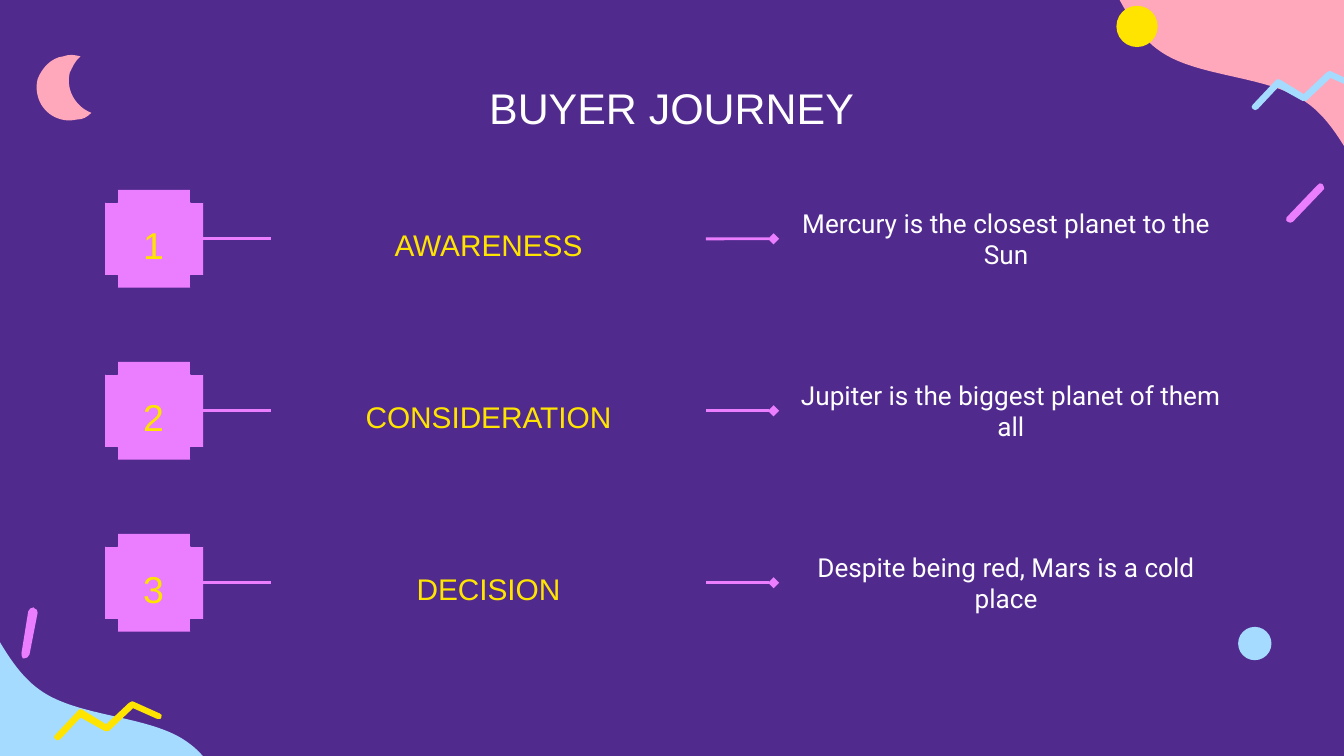
from lxml import etree
from pptx import Presentation
from pptx import util as u
from pptx.dml.color import RGBColor
from pptx.enum import shapes, text
from pptx.oxml.ns import qn

PURPLE, ORCHID, YELLOW = "512A8E", "EB7DFF", "FFE400"
PINK, SKY, WHITE = "FFA7BB", "A5DBFF", "FFFFFF"
rgb = RGBColor.from_string

deck = Presentation()
deck.slide_width, deck.slide_height = u.Cm(25.4), u.Cm(14.29)
slide = deck.slides.add_slide(deck.slide_layouts[6])
slide.background.fill.solid()
slide.background.fill.fore_color.rgb = rgb(PURPLE)


def paint(shape, fill, line=None):
    shape.shadow.inherit = False
    shape.fill.solid()
    shape.fill.fore_color.rgb = rgb(fill)
    if line:
        shape.line.color.rgb = rgb(line)
        shape.line.width = u.Pt(0.75)
    else:
        shape.line.fill.background()


def add_text(words, left, top, width, height, size, color, font="Arial"):
    """Add a centred text box; the box is given in centimetres."""
    box = slide.shapes.add_textbox(u.Cm(left), u.Cm(top), u.Cm(width), u.Cm(height))
    frame = box.text_frame
    frame.word_wrap = True
    frame.vertical_anchor = text.MSO_ANCHOR.MIDDLE
    frame.margin_left = frame.margin_right = u.Cm(0.25)
    frame.margin_top = frame.margin_bottom = u.Cm(0.25)
    frame.text = words
    paragraph = frame.paragraphs[0]
    paragraph.alignment = text.PP_ALIGN.CENTER
    run_font = paragraph.runs[0].font
    run_font.size, run_font.name = u.Pt(size), font
    run_font.color.rgb = rgb(color)
    return box


# Outlines: a start point, then lines (x, y) or cubic curves (six numbers),
# on a grid of 0.0254 cm
GRID = u.Cm(0.0254)
wave = [(1070, 165), (1067, 208, 1047, 174, 1031, 159), (1015, 144, 1001, 97, 973, 77),
        (945, 56, 891, 58, 863, 38), (835, 19, 828, -23, 805, -40),
        (782, -57, 741, -56, 726, -65), (712, -74, 664, -90, 718, -96),
        (773, -102, 995, -143, 1054, -99), (1113, -56, 1074, 122, 1070, 165)]
zigzag = [(989, 53), (988, 53, 988, 53, 987, 54), (970, 70), (952, 59),
          (951, 59, 951, 59, 950, 59), (950, 59, 949, 59, 949, 60), (932, 78),
          (931, 79, 931, 80, 932, 81), (933, 82, 933, 82, 934, 82),
          (935, 82, 935, 82, 936, 81), (951, 65), (969, 75),
          (970, 75, 970, 75, 971, 75), (971, 75, 972, 75, 972, 75), (990, 58),
          (1008, 66), (1009, 66, 1009, 66, 1009, 66), (1010, 66, 1011, 66, 1011, 65),
          (1012, 64, 1011, 62, 1010, 62), (990, 53)]
moon = [(28, 59), (31, 51, 38, 43, 47, 42), (52, 40, 56, 41, 60, 42),
        (56, 45, 54, 50, 52, 54), (51, 58, 51, 62, 52, 66), (54, 74, 60, 81, 68, 84),
        (65, 87, 62, 89, 57, 89), (44, 92, 31, 84, 28, 71), (27, 67, 27, 63, 28, 59)]
left_dash = [(17, 490), (16, 489, 16, 487, 16, 486), (21, 455), (22, 453, 23, 452, 25, 452),
             (25, 452, 26, 453, 26, 453), (27, 453, 28, 454, 28, 456), (22, 487),
             (21, 489, 20, 490, 18, 490)]
right_dash = [(957, 164), (957, 163, 957, 161, 958, 161), (980, 138),
              (981, 136, 983, 136, 984, 137), (985, 138, 985, 138, 985, 139),
              (986, 140, 985, 141, 984, 142), (962, 165), (961, 166, 959, 166, 958, 165)]

# Each outline is turned by 180 degrees where sign is -1, then shifted
for outline, color, sign, shift_x, shift_y in [
        (wave, PINK, 1, 0, 0), (wave, SKY, -1, 1002, 590),
        (zigzag, YELLOW, 1, -891, 469), (zigzag, SKY, 1, 0, 0),
        (moon, PINK, 1, 0, 0), (left_dash, ORCHID, 1, 0, 0), (right_dash, ORCHID, 1, 0, 0)]:
    segments = [[((sign * x + shift_x) * GRID, (sign * y + shift_y) * GRID)
                 for x, y in zip(segment[::2], segment[1::2])] for segment in outline]
    builder = slide.shapes.build_freeform(*segments[0][0])
    builder.add_line_segments([segment[-1] for segment in segments[1:]], close=True)
    form = builder.convert_to_shape()
    paint(form, color)
    # Turn the line of each six-number segment into a cubic curve
    for line, segment in zip(list(form._element.iter(qn("a:lnTo"))), segments[1:]):
        if len(segment) == 3:
            curve = etree.Element(qn("a:cubicBezTo"))
            for x, y in segment:
                etree.SubElement(curve, qn("a:pt"), x=str(x - form.left), y=str(y - form.top))
            line.getparent().replace(line, curve)

for left, top, size, color in [(21.1, 0.11, 0.78, YELLOW), (23.4, 11.85, 0.63, SKY)]:
    dot = slide.shapes.add_shape(shapes.MSO_SHAPE.OVAL,
                                 u.Cm(left), u.Cm(top), u.Cm(size), u.Cm(size))
    paint(dot, color)

add_text("BUYER JOURNEY", 2, 1.23, 21.4, 1.6, 23, WHITE)

# Journey stages
FIRST_TOP, PITCH = 3.59, 3.25
BADGE_LEFT, BADGE, NOTCH = 1.99, 1.85, 0.23
LABEL_LEFT, LABEL_WIDTH = 5.13, 8.21
DETAIL_LEFT = 14.62
stages = [("AWARENESS", "Mercury is the closest planet to the Sun", 8.79),
          ("CONSIDERATION", "Jupiter is the biggest planet of them all", 8.97),
          ("DECISION", "Despite being red, Mars is a cold place", 8.79)]

for index, (stage, detail, detail_width) in enumerate(stages):
    top = FIRST_TOP + index * PITCH
    middle = top + BADGE / 2
    badge_group = slide.shapes.add_group_shape()
    badge = badge_group.shapes.add_shape(shapes.MSO_SHAPE.RECTANGLE, u.Cm(BADGE_LEFT),
                                         u.Cm(top), u.Cm(BADGE), u.Cm(BADGE))
    paint(badge, ORCHID)
    for dx in (0, BADGE - NOTCH):
        for dy in (0, BADGE - NOTCH):
            notch = badge_group.shapes.add_shape(
                shapes.MSO_SHAPE.RECTANGLE, u.Cm(BADGE_LEFT + dx), u.Cm(top + dy),
                u.Cm(NOTCH), u.Cm(NOTCH))
            paint(notch, PURPLE, PURPLE)

    add_text(str(index + 1), 2.25, top + 0.52, 1.3, 1.04, 20, YELLOW)
    add_text(stage, LABEL_LEFT, top + 0.52, LABEL_WIDTH, 1.04, 16, YELLOW)
    detail_box = add_text(detail, DETAIL_LEFT, middle - 0.62, detail_width, 1.24,
                          14, WHITE, "Roboto")

    links = [slide.shapes.add_connector(shapes.MSO_CONNECTOR.STRAIGHT, u.Cm(start),
                                        u.Cm(middle), u.Cm(end), u.Cm(middle))
             for start, end in [(BADGE_LEFT + BADGE, LABEL_LEFT),
                                (LABEL_LEFT + LABEL_WIDTH, DETAIL_LEFT)]]
    links[0].begin_connect(badge, 3)
    links[1].end_connect(detail_box, 1)
    for link in links:
        link.line.color.rgb = rgb(ORCHID)
        link.line.width = u.Pt(1.5)
        etree.SubElement(link._element.spPr, qn("a:effectLst"))
    outline_xml = links[1]._element.spPr.find(qn("a:ln"))
    etree.SubElement(outline_xml, qn("a:tailEnd"), type="diamond")

deck.save("out.pptx")
